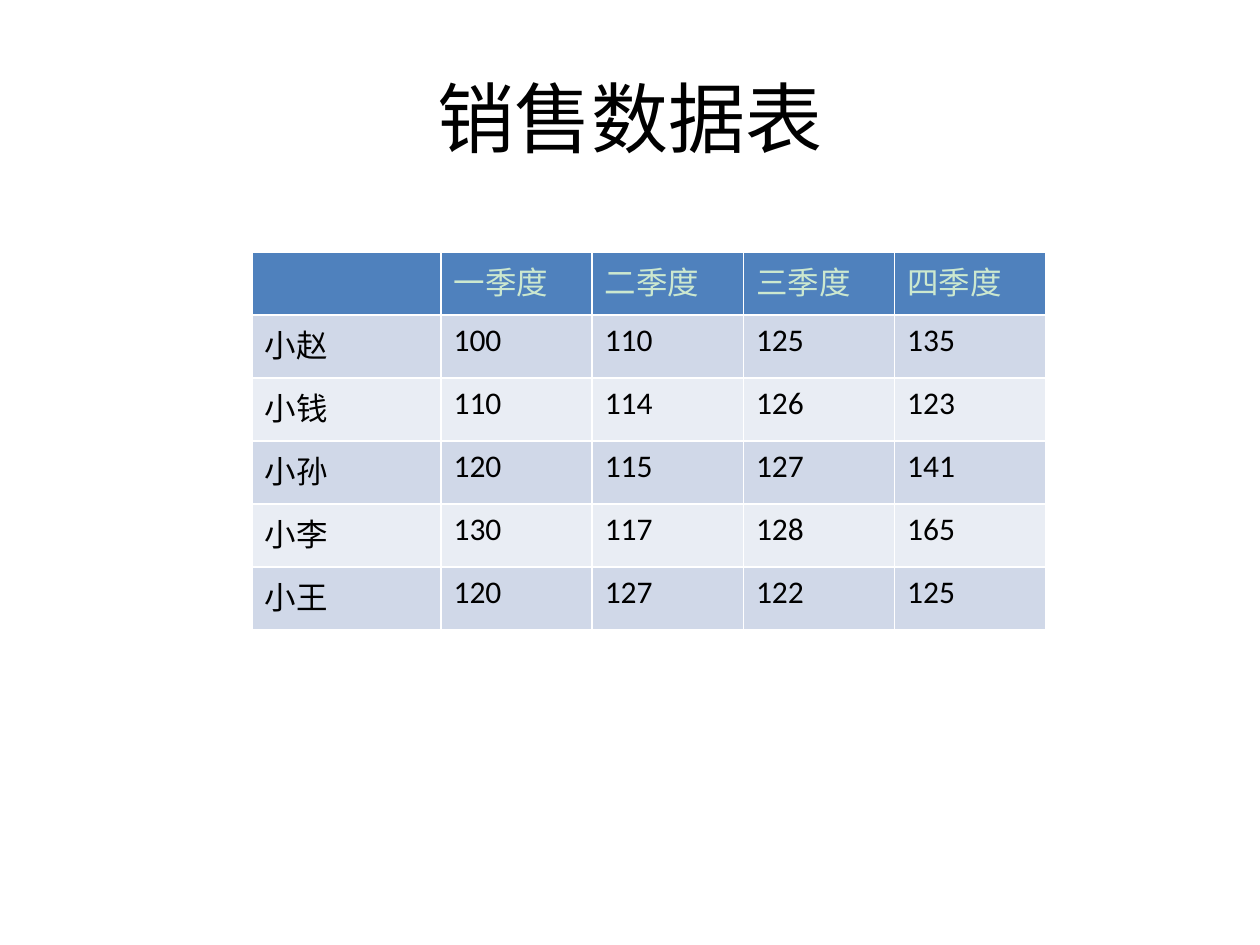
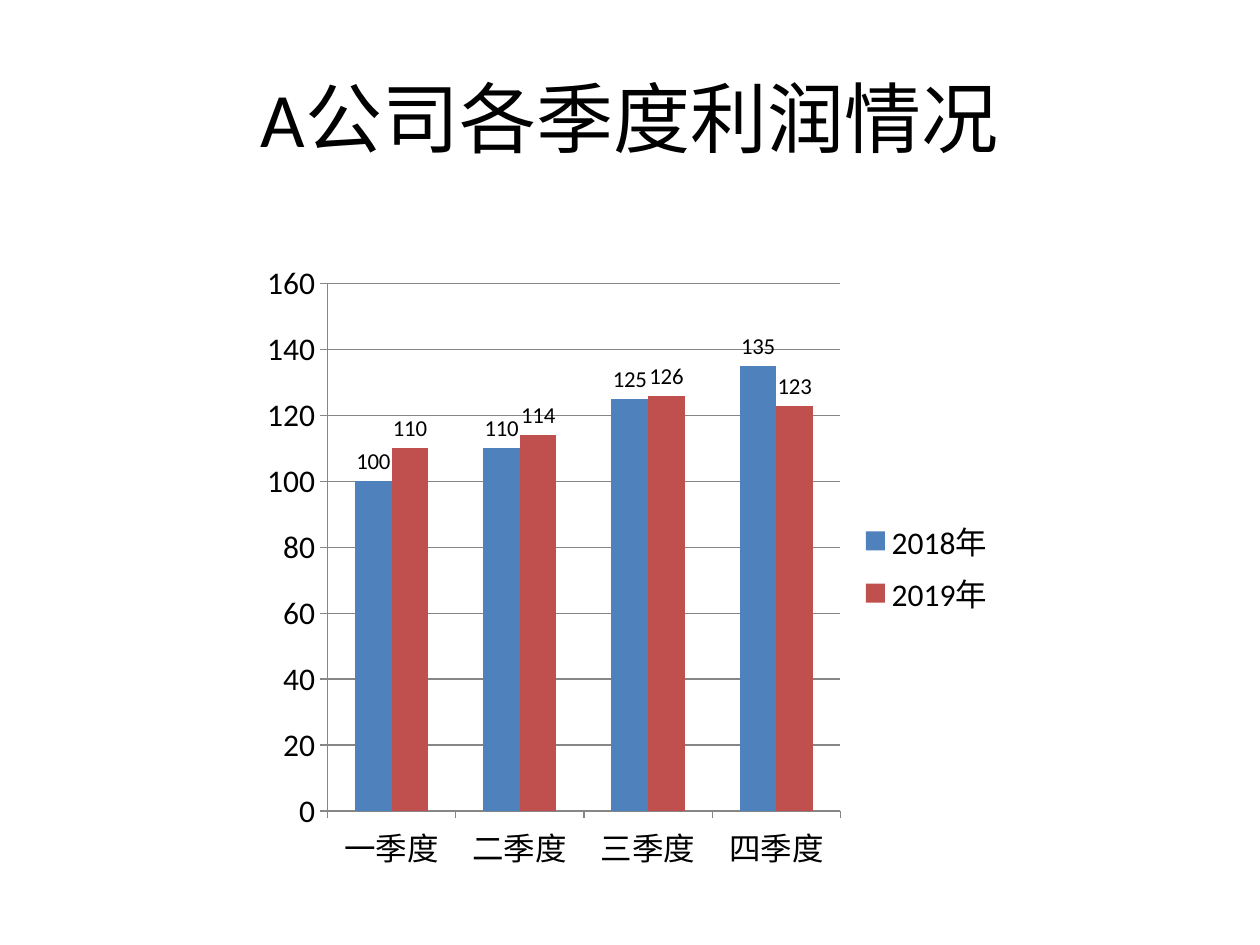
from lxml.etree import SubElement
from pptx import Presentation
from pptx.chart.data import CategoryChartData
from pptx.dml.color import RGBColor
from pptx.enum.chart import XL_CHART_TYPE, XL_LABEL_POSITION, XL_LEGEND_POSITION, XL_TICK_MARK
from pptx.enum.text import MSO_ANCHOR, PP_ALIGN
from pptx.oxml.ns import qn
from pptx.util import Emu, Pt

SCALE = 9144
COLORS = {
    "background": "FFFFFF",
    "text": "000000",
    "header_text": "CCE8CF",
    "blue": "4F81BD",
    "red": "C0504D",
    "odd_row": "D0D8E8",
    "even_row": "E9EDF4",
    "border": "FFFFFF",
    "axis": "868686",
}
QUARTERS = ["一季度", "二季度", "三季度", "四季度"]
SALES = {
    "小赵": [100, 110, 125, 135],
    "小钱": [110, 114, 126, 123],
    "小孙": [120, 115, 127, 141],
    "小李": [130, 117, 128, 165],
    "小王": [120, 127, 122, 125],
}
PROFITS = {
    "2018年": ([100, 110, 125, 135], "blue"),
    "2019年": ([110, 114, 126, 123], "red"),
}


def px(length):
    return Emu(length * SCALE)


def color(name):
    return RGBColor.from_string(COLORS[name])


def apply(target, values):
    for name, value in values.items():
        setattr(target, name, value)


class SlideBuilder:
    def __init__(self, deck):
        self.deck = deck
        self.font = "Calibri"
        self.page = None

    def style_font(self, font, size, color_name="text"):
        apply(font, {"name": self.font, "size": Pt(size), "bold": False})
        font.color.rgb = color(color_name)

    def paint(self, fill, color_name):
        fill.solid()
        fill.fore_color.rgb = color(color_name)

    def new_page(self, title):
        self.page = self.deck.slides.add_slide(self.deck.slide_layouts[6])
        self.paint(self.page.background.fill, "background")
        self.title(title)

    def title(self, text):
        box = self.page.shapes.add_textbox(px(50), px(30), px(900), px(125))
        apply(box.text_frame, {"word_wrap": True, "vertical_anchor": MSO_ANCHOR.MIDDLE})
        para = box.text_frame.paragraphs[0]
        para.alignment = PP_ALIGN.CENTER
        span = para.add_run()
        span.text = text
        self.style_font(span.font, 44)

    def border(self, cell):
        properties = cell._tc.get_or_add_tcPr()
        for index, side in enumerate(("lnL", "lnR", "lnT", "lnB")):
            line = properties.makeelement(qn(f"a:{side}"), {"w": str(Pt(1))})
            fill = SubElement(line, qn("a:solidFill"))
            SubElement(fill, qn("a:srgbClr"), val=COLORS["border"])
            properties.insert(index, line)

    def cell(self, cell, text, fill, text_color):
        para = cell.text_frame.paragraphs[0]
        if text:
            span = para.add_run()
            span.text = text
            self.style_font(span.font, 18, text_color)
        self.paint(cell.fill, fill)
        self.border(cell)

    def table(self, left, top, widths, row_height, rows):
        frame = self.page.shapes.add_table(
            len(rows), len(widths), px(left), px(top),
            px(sum(widths)), px(row_height * len(rows)))
        for column, width in zip(frame.table.columns, widths):
            column.width = px(width)
        for row_index, row in enumerate(rows):
            fill = "odd_row" if row_index % 2 else "even_row"
            text_color = "text"
            if row_index == 0:
                fill, text_color = "blue", "header_text"
            for column_index, value in enumerate(row):
                self.cell(frame.table.cell(row_index, column_index),
                          str(value), fill, text_color)

    def axis(self, axis, has_gridlines):
        apply(axis, {
            "has_major_gridlines": has_gridlines,
            "major_tick_mark": XL_TICK_MARK.OUTSIDE,
            "minor_tick_mark": XL_TICK_MARK.NONE,
        })
        lines = [axis.format.line]
        if has_gridlines:
            lines.append(axis.major_gridlines.format.line)
        for line in lines:
            line.color.rgb = color("axis")
            line.width = Pt(0.75)

    def column_chart(self, left, top, width, height, categories, series_data):
        data = CategoryChartData()
        data.categories = categories
        for name, (values, _) in series_data.items():
            data.add_series(name, values)
        chart = self.page.shapes.add_chart(
            XL_CHART_TYPE.COLUMN_CLUSTERED, px(left), px(top),
            px(width), px(height), data).chart
        apply(chart, {"has_title": False, "has_legend": True})
        self.style_font(chart.font, 18)
        apply(chart.legend, {"position": XL_LEGEND_POSITION.RIGHT,
                             "include_in_layout": False})
        self.axis(chart.category_axis, False)
        self.axis(chart.value_axis, True)
        plot = chart.plots[0]
        apply(plot, {"gap_width": 150, "vary_by_categories": False})
        for series, (_, color_name) in zip(plot.series, series_data.values()):
            series.invert_if_negative = False
            self.paint(series.format.fill, color_name)
            labels = series.data_labels
            apply(labels, {"show_value": True,
                           "position": XL_LABEL_POSITION.OUTSIDE_END})
            self.style_font(labels.font, 13)


def main():
    deck = Presentation()
    apply(deck, {"slide_width": px(1000), "slide_height": px(750)})
    builder = SlideBuilder(deck)

    builder.new_page("销售数据表")
    rows = [["", *QUARTERS]] + [[name, *values] for name, values in SALES.items()]
    builder.table(200, 200, [150] + [120] * len(QUARTERS), 50, rows)

    builder.new_page("A公司各季度利润情况")
    builder.column_chart(200, 200, 600, 500, QUARTERS, PROFITS)

    deck.save("out.pptx")


if __name__ == "__main__":
    main()
